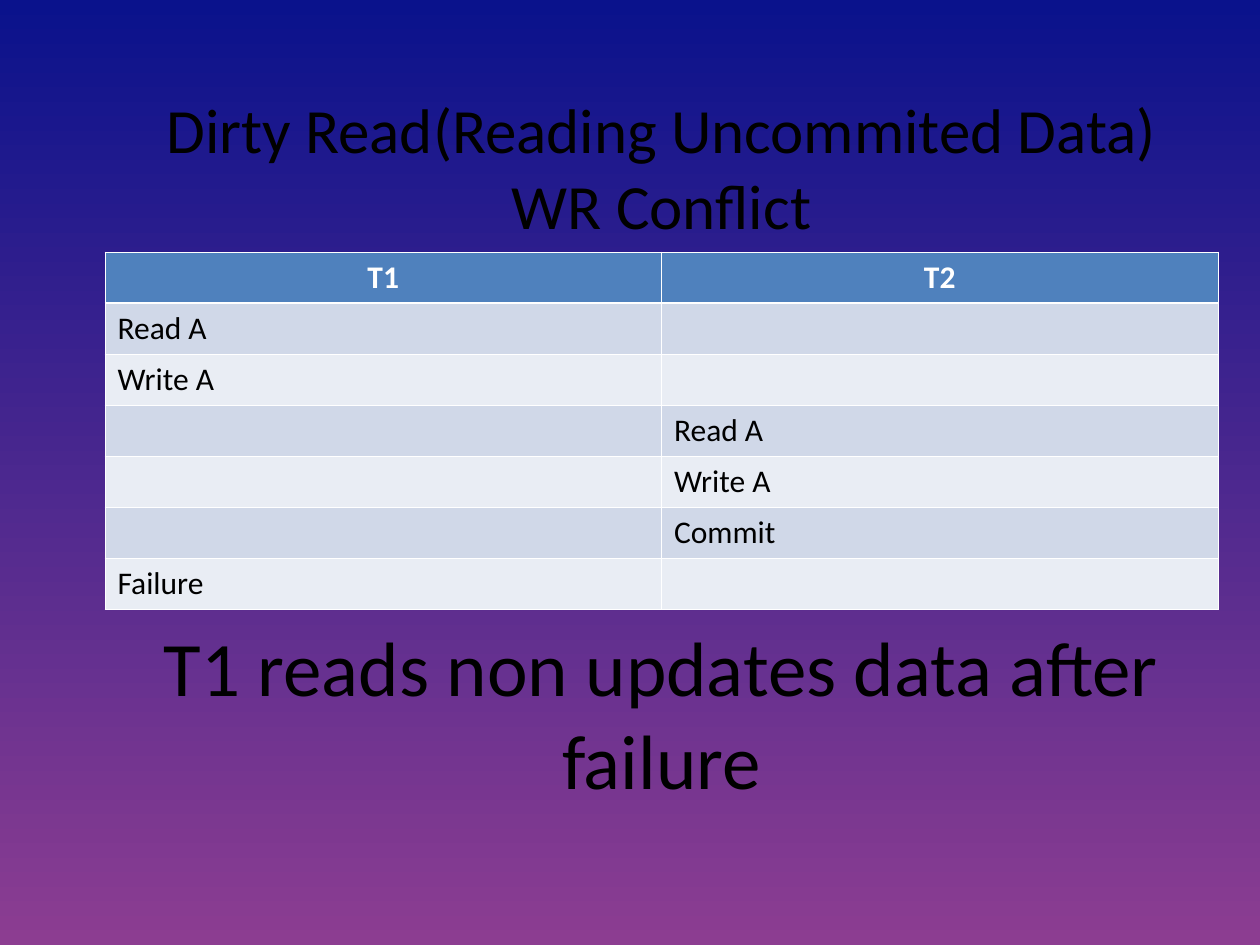
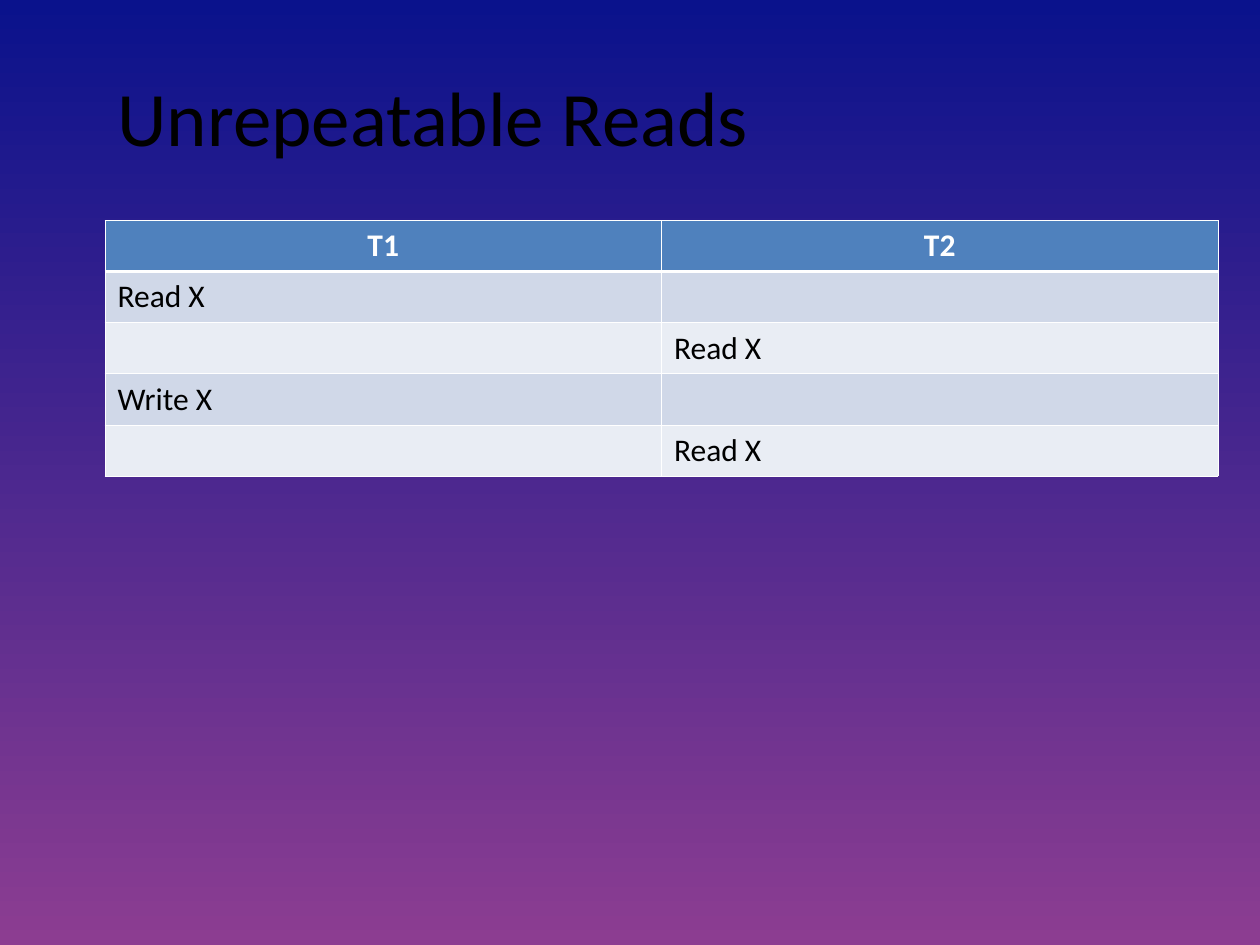
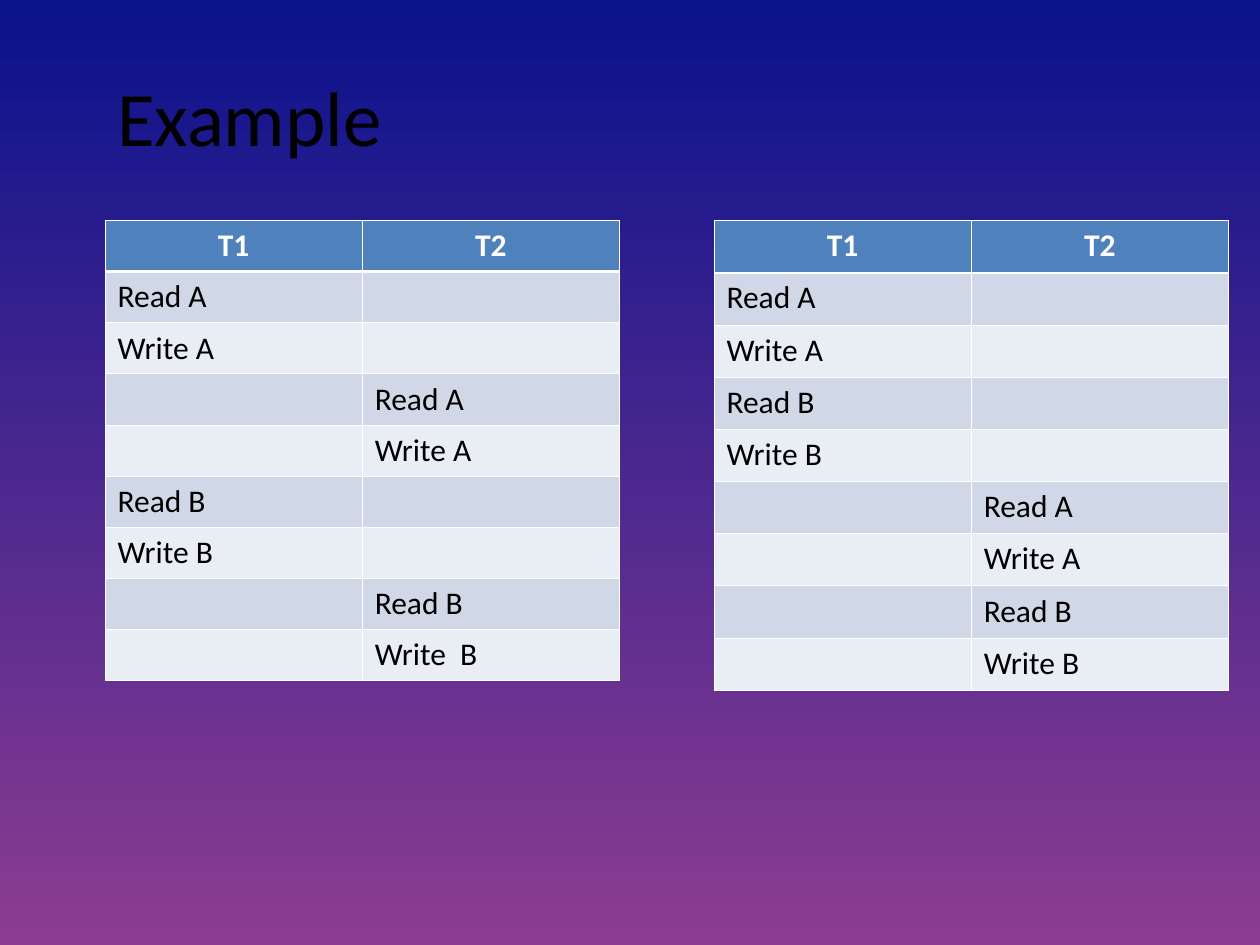
from lxml.etree import SubElement
from pptx import Presentation
from pptx.dml.color import RGBColor
from pptx.enum.text import MSO_ANCHOR, PP_ALIGN
from pptx.oxml.ns import qn
from pptx.util import Pt

NAVY = RGBColor(0x0A, 0x12, 0x8C)
PURPLE = RGBColor(0x8C, 0x3D, 0x91)
BLACK = RGBColor(0, 0, 0)
WHITE = RGBColor(255, 255, 255)
HEADER_BLUE = RGBColor(0x4F, 0x81, 0xBD)
ROW_DARK = RGBColor(0xD0, 0xD8, 0xE8)
ROW_LIGHT = RGBColor(0xE9, 0xED, 0xF4)

FONT = "Calibri"
LEFT, WIDTH = 60, 636
TITLE_TOP, TITLE_HEIGHT = 21, 90
TABLE_TOP = 126
ROW_HEIGHT = 29.2
THIN, THICK = 0.45, 1.47


def set_background(master):
    fill = master.background.fill
    fill.gradient()
    fill.gradient_angle = 270
    for stop, color in zip(fill.gradient_stops, (NAVY, PURPLE)):
        stop.color.rgb = color


def style_paragraph(p, size, color, bold=False, align=PP_ALIGN.LEFT):
    p.alignment = align
    p.font.name = FONT
    p.font.size = Pt(size)
    p.font.bold = bold
    p.font.color.rgb = color


def add_text(slide, lines, top=TITLE_TOP, height=TITLE_HEIGHT, size=44,
             align=PP_ALIGN.LEFT):
    sp = slide.shapes.add_textbox(Pt(LEFT), Pt(top), Pt(WIDTH), Pt(height))
    tf = sp.text_frame
    tf.word_wrap = True
    tf.vertical_anchor = MSO_ANCHOR.MIDDLE
    tf.text = "\n".join(lines)
    for p in tf.paragraphs:
        style_paragraph(p, size, BLACK, align=align)


def set_borders(cell, top, bottom):
    """Draw white cell borders; top and bottom are widths in points."""
    tc_pr = cell._tc.get_or_add_tcPr()
    widths = {"a:lnL": THIN, "a:lnR": THIN, "a:lnT": top, "a:lnB": bottom}
    for index, (tag, width) in enumerate(widths.items()):
        ln = SubElement(tc_pr, qn(tag), w=str(Pt(width)))
        fill = SubElement(ln, qn("a:solidFill"))
        SubElement(fill, qn("a:srgbClr"), val=str(WHITE))
        tc_pr.insert(index, ln)


def add_schedule(slide, steps, left=LEFT, top=TABLE_TOP, width=WIDTH,
                 row_height=ROW_HEIGHT):
    """Add a T1/T2 table; each step is (transaction number, operation)."""
    rows = [("T1", "T2")]
    rows += [(op, "") if number == 1 else ("", op) for number, op in steps]
    table = slide.shapes.add_table(
        len(rows), 2, Pt(left), Pt(top), Pt(width),
        Pt(row_height * len(rows))).table
    for i, row in enumerate(rows):
        table.rows[i].height = Pt(row_height)
        for j, text in enumerate(row):
            cell = table.cell(i, j)
            cell.text = text
            p = cell.text_frame.paragraphs[0]
            cell.fill.solid()
            if i == 0:
                cell.fill.fore_color.rgb = HEADER_BLUE
                style_paragraph(p, 18, WHITE, True, PP_ALIGN.CENTER)
            else:
                cell.fill.fore_color.rgb = ROW_DARK if i % 2 else ROW_LIGHT
                style_paragraph(p, 18, BLACK)
            set_borders(cell, THICK if i == 1 else THIN,
                        THICK if i == 0 else THIN)


def main():
    prs = Presentation()
    prs.slide_width, prs.slide_height = Pt(720), Pt(540)
    set_background(prs.slide_master)
    blank = prs.slide_layouts[6]

    s = prs.slides.add_slide(blank)
    add_text(s, ["Dirty Read(Reading Uncommited Data)", "WR Conflict"],
             top=50, size=36, align=PP_ALIGN.CENTER)
    add_schedule(s, [(1, "Read A"), (1, "Write A"), (2, "Read A"),
                     (2, "Write A"), (2, "Commit"), (1, "Failure")], top=144)
    add_text(s, ["T1 reads non updates data after failure"],
             top=352, height=110, align=PP_ALIGN.CENTER)

    s = prs.slides.add_slide(blank)
    add_text(s, ["Unrepeatable Reads"])
    add_schedule(s, [(1, "Read X"), (2, "Read X"), (1, "Write X"),
                     (2, "Read X")])

    s = prs.slides.add_slide(blank)
    add_text(s, ["Example"])
    add_schedule(s, [(1, "Read A"), (1, "Write A"), (2, "Read A"),
                     (2, "Write A"), (1, "Read B"), (1, "Write B"),
                     (2, "Read B"), (2, "Write  B")], width=294)
    add_schedule(s, [(number, f"{op} {item}") for number in (1, 2)
                     for item in "AB" for op in ("Read", "Write")],
                 left=408, width=294, row_height=29.84)

    prs.save("out.pptx")


if __name__ == "__main__":
    main()
